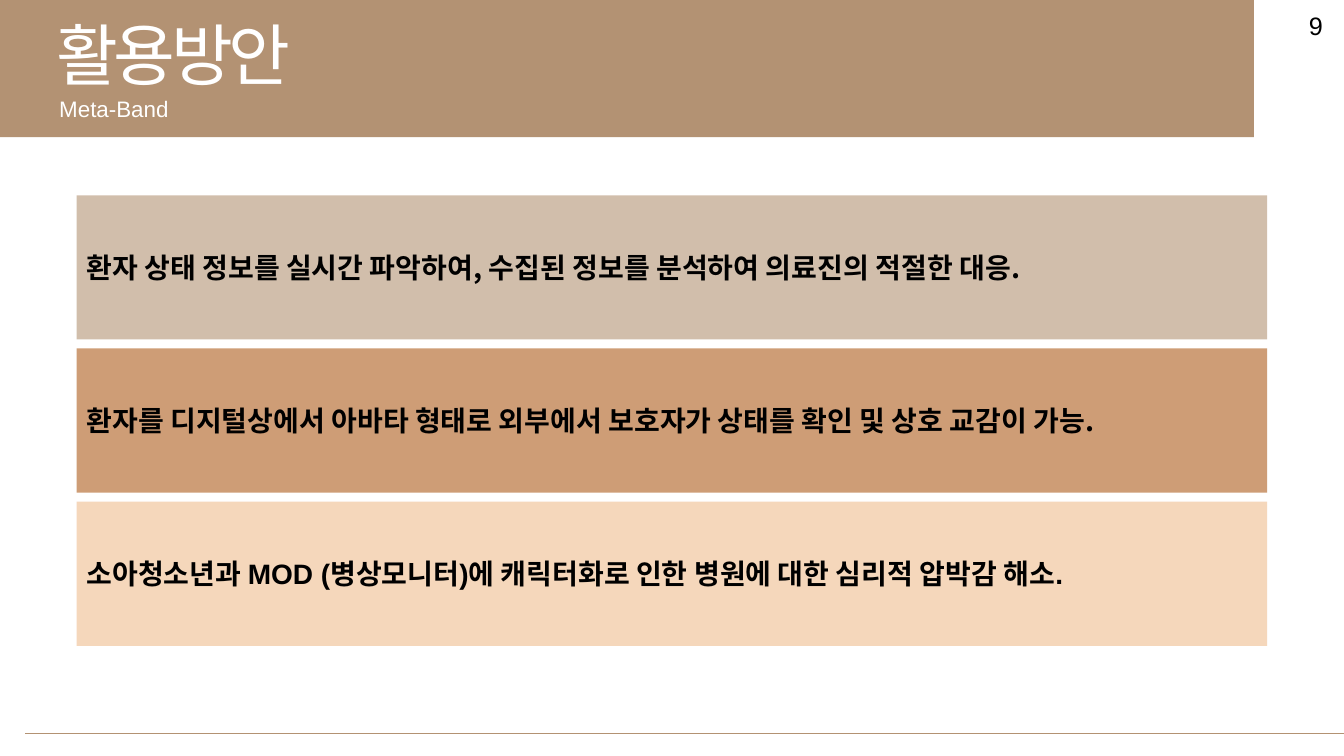
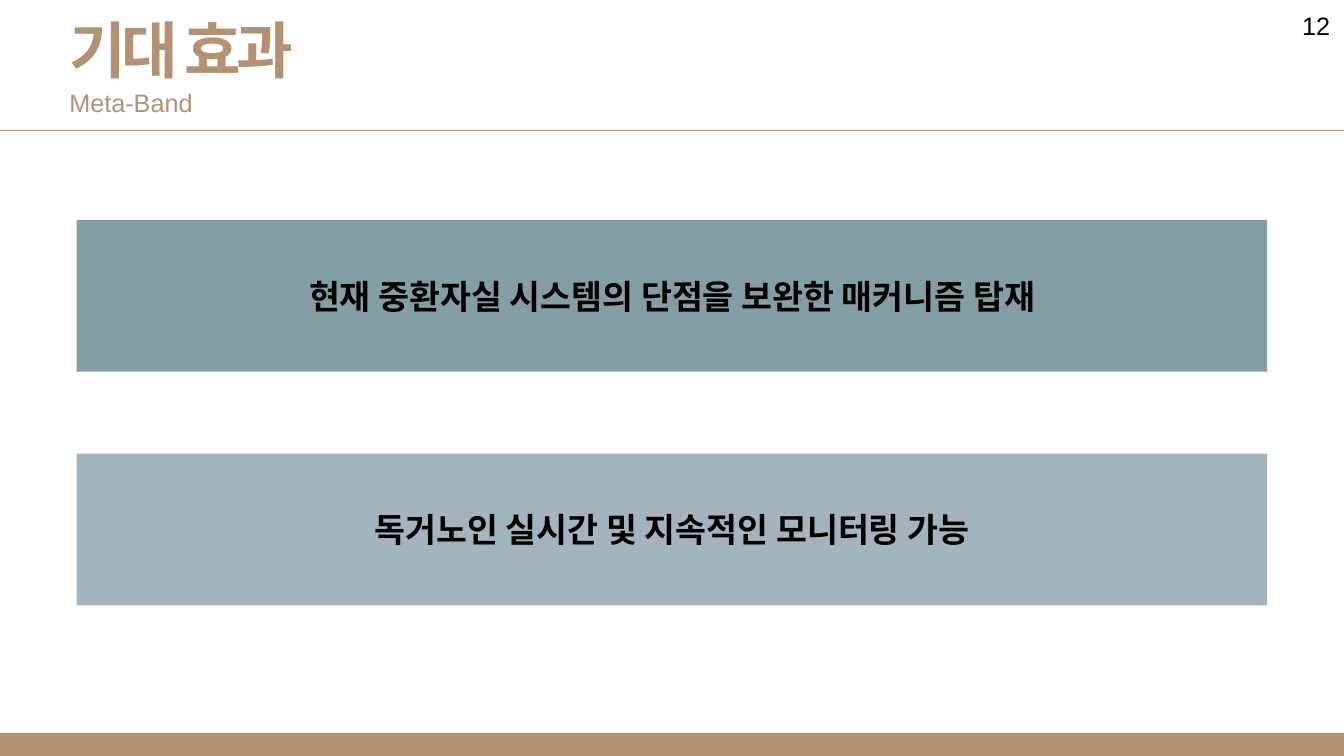
"""Build two Meta-Band slides: uses and expected effects."""
import dataclasses

import lxml.etree
import pptx
import pptx.dml.color
import pptx.enum.shapes
import pptx.enum.text
import pptx.oxml.ns
import pptx.util

Pt = pptx.util.Pt
ALIGN = pptx.enum.text.PP_ALIGN
ANCHOR = pptx.enum.text.MSO_ANCHOR
qn = pptx.oxml.ns.qn


@dataclasses.dataclass(frozen=True)
class Theme:
    brown: str = "B39273"
    white: str = "FFFFFF"
    black: str = "000000"
    latin: str = "Arial"
    korean: str = "Noto Sans CJK KR"
    number_size: int = 18
    title_spacing: int = -300
    line_width: float = 0.5


THEME = Theme()
WIDTH, HEIGHT = 960, 540
PANEL_LEFT = 54.75
PANEL_WIDTH = WIDTH - 2 * PANEL_LEFT
SUBTITLE = "Meta-Band"

USES = {
    "number": "9",
    "bands": [(0, 0, 895.75, 98)],
    "rule": (18, 524),
    "title": ("활용방안", (33, 5.75, 210, 66), 48, False),
    "subtitle": ((35.25, 64.25, 200, 27), 16),
    "heading_color": THEME.white,
    "panels": [
        ("환자 상태 정보를 실시간 파악하여,\u00a0수집된 정보를 분석하여 의료진의 적절한 대응.", "D1BEAB", THEME.korean),
        ("환자를 디지털상에서 아바타 형태로 외부에서 보호자가 상태를 확인 및 상호 교감이 가능.", "CE9D76", THEME.korean),
        ("소아청소년과 MOD (병상모니터)에 캐릭터화로 인한 병원에 대한 심리적 압박감 해소.", "F5D7BB", THEME.latin),
    ],
    "panel_grid": {"top": 139.5, "height": 103, "gap": 6.4},
    "panel_text": (20, ALIGN.LEFT),
}
EFFECTS = {
    "number": "12",
    "bands": [(0, 523.5, WIDTH, 16.5)],
    "rule": (0, 93),
    "title": ("기대 효과", (42.5, 5, 210, 61), 44, True),
    "subtitle": ((42.5, 58.5, 481, 29), 18),
    "heading_color": THEME.brown,
    "panels": [
        ("현재 중환자실 시스템의 단점을 보완한 매커니즘 탑재", "849EA5", THEME.latin),
        ("독거노인 실시간 및 지속적인 모니터링 가능", "A3B4BF", THEME.latin),
    ],
    "panel_grid": {"top": 157, "height": 108.5, "gap": 58.5},
    "panel_text": (24, ALIGN.CENTER),
}


def rgb(color):
    return pptx.dml.color.RGBColor.from_string(color)


def write(shape, text, size, color, font=THEME.latin, bold=False,
          align=ALIGN.LEFT, anchor=ANCHOR.TOP, spacing=None):
    frame = shape.text_frame
    frame.word_wrap = True
    frame.vertical_anchor = anchor
    paragraph = frame.paragraphs[0]
    paragraph.alignment = align
    run = paragraph.add_run()
    run.text = text
    run.font.size = Pt(size)
    run.font.bold = bold
    run.font.name = font
    run.font.color.rgb = rgb(color)
    properties = run.font._element
    lxml.etree.SubElement(properties, qn("a:ea")).set("typeface", THEME.korean)
    if spacing is not None:
        properties.set("spc", str(spacing))


def add_text(slide, box, text, size, color, **style):
    write(slide.shapes.add_textbox(*map(Pt, box)), text, size, color, **style)


def add_block(slide, box, fill):
    shape = slide.shapes.add_shape(pptx.enum.shapes.MSO_SHAPE.RECTANGLE, *map(Pt, box))
    shape.shadow.inherit = False
    shape.fill.solid()
    shape.fill.fore_color.rgb = rgb(fill)
    shape.line.fill.background()
    return shape


def add_rule(slide, left, top):
    rule = slide.shapes.add_connector(
        pptx.enum.shapes.MSO_CONNECTOR.STRAIGHT, Pt(left), Pt(top), Pt(WIDTH), Pt(top))
    rule.line.color.rgb = rgb(THEME.brown)
    rule.line.width = Pt(THEME.line_width)
    lxml.etree.SubElement(rule._element.spPr, qn("a:effectLst"))


def add_frame(slide, content):
    for band in content["bands"]:
        add_block(slide, band, THEME.brown)
    add_rule(slide, *content["rule"])
    color = content["heading_color"]
    title, box, size, bold = content["title"]
    add_text(slide, box, title, size, color, bold=bold, spacing=THEME.title_spacing)
    box, size = content["subtitle"]
    add_text(slide, box, SUBTITLE, size, color)
    add_text(slide, (920, 3.75, 40, 29), content["number"], THEME.number_size,
             THEME.black, align=ALIGN.CENTER)


def add_panels(slide, content):
    grid = content["panel_grid"]
    size, align = content["panel_text"]
    for index, (text, fill, font) in enumerate(content["panels"]):
        top = grid["top"] + index * (grid["height"] + grid["gap"])
        panel = add_block(slide, (PANEL_LEFT, top, PANEL_WIDTH, grid["height"]), fill)
        write(panel, text, size, THEME.black, font=font, bold=True,
              align=align, anchor=ANCHOR.MIDDLE)


def main():
    presentation = pptx.Presentation()
    presentation.slide_width = Pt(WIDTH)
    presentation.slide_height = Pt(HEIGHT)
    for content in (USES, EFFECTS):
        slide = presentation.slides.add_slide(presentation.slide_layouts[6])
        add_frame(slide, content)
        add_panels(slide, content)
    presentation.save("out.pptx")


if __name__ == "__main__":
    main()
